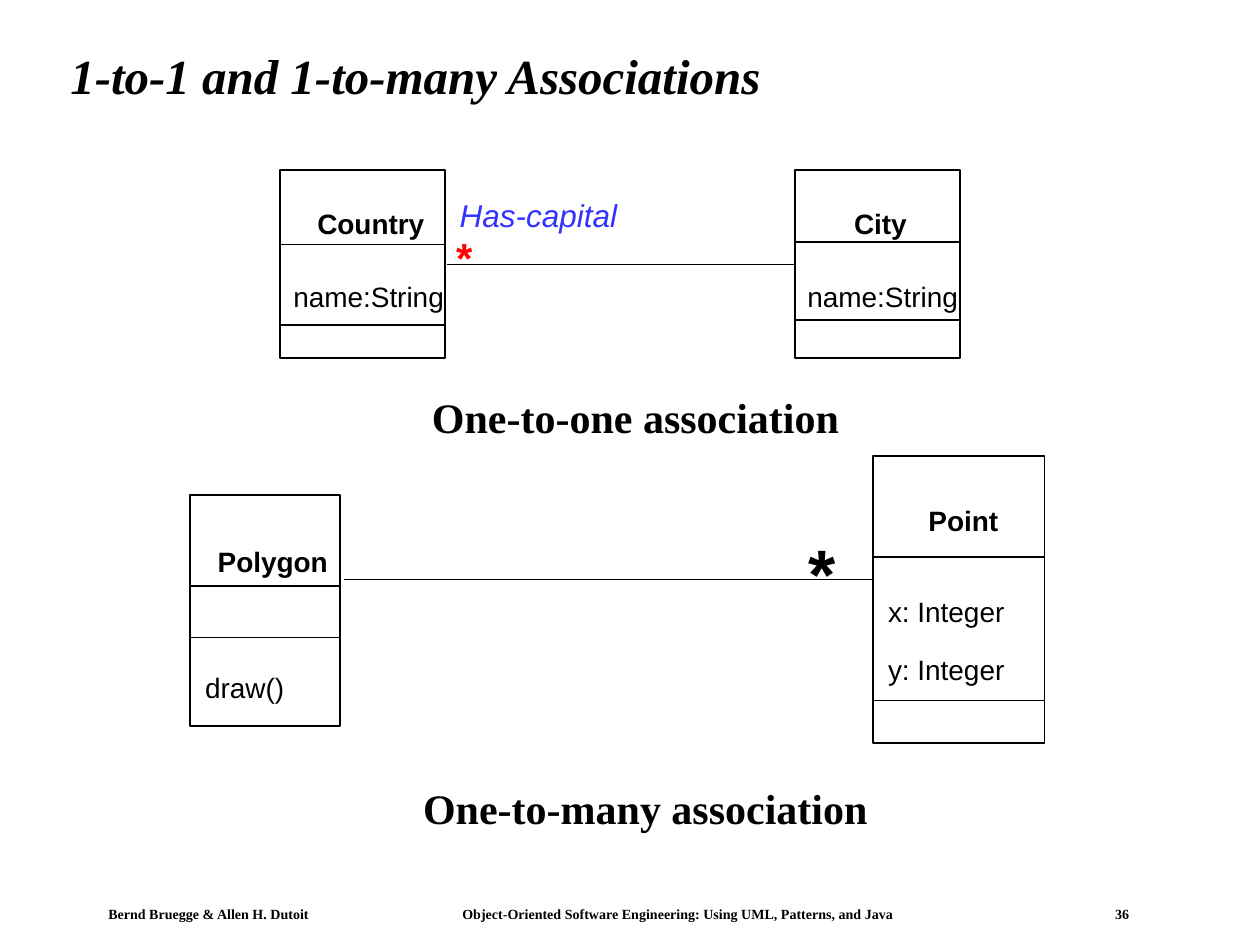
from lxml import etree
from pptx import Presentation
from pptx.dml.color import RGBColor
from pptx.enum.shapes import MSO_CONNECTOR, MSO_SHAPE
from pptx.enum.text import MSO_ANCHOR, MSO_AUTO_SIZE, PP_ALIGN
from pptx.oxml.ns import qn
from pptx.util import Inches, Pt

RECT = MSO_SHAPE.RECTANGLE
LINE = MSO_CONNECTOR.STRAIGHT
TOP, MIDDLE = MSO_ANCHOR.TOP, MSO_ANCHOR.MIDDLE
LEFT, CENTER = PP_ALIGN.LEFT, PP_ALIGN.CENTER
FIXED, GROW = MSO_AUTO_SIZE.NONE, MSO_AUTO_SIZE.SHAPE_TO_FIT_TEXT

COLORS = {"ink": "000000", "blue": "3333FF", "red": "FF0000"}
SERIF, SANS = "Times New Roman", "Arial"
ROW = 0.36

HEAD = {"name": SANS, "size": Pt(16), "bold": True}
BODY = {"name": SANS, "size": Pt(16)}
TITLE = {"name": SERIF, "size": Pt(28), "bold": True, "italic": True}
LABEL = {"name": SERIF, "size": Pt(24), "bold": True}
ROLE = {"name": SANS, "size": Pt(18), "italic": True}
STAR = {"name": SANS, "size": Pt(24), "bold": True}
BIG = {"name": SANS, "size": Pt(40), "bold": True}
FOOT = {"name": SERIF, "size": Pt(8), "bold": True}


def paint(color):
    return RGBColor.from_string(COLORS[color])


def add_text(slide, text, box, style, color="ink", wrap=False,
             anchor=TOP, align=LEFT, pad=(0.1, 0.05)):
    shape = slide.shapes.add_textbox(*map(Inches, box))
    frame = shape.text_frame
    side, edge = map(Inches, pad)
    form = {"word_wrap": wrap, "auto_size": FIXED if wrap else GROW,
            "vertical_anchor": anchor,
            "margin_left": side, "margin_right": side,
            "margin_top": edge, "margin_bottom": edge}
    for key, value in form.items():
        setattr(frame, key, value)
    para = frame.paragraphs[0]
    para.alignment = align
    run = para.add_run()
    run.text = text
    for key, value in style.items():
        setattr(run.font, key, value)
    run.font.color.rgb = paint(color)
    return para


def set_tabs(para, stops):
    props = para._p.get_or_add_pPr()
    tabs = etree.SubElement(props, qn("a:tabLst"))
    for stop in stops:
        etree.SubElement(tabs, qn("a:tab"), pos=str(Inches(stop)), algn="l")


def add_line(slide, x1, y1, x2, y2):
    line = slide.shapes.add_connector(LINE, *map(Inches, (x1, y1, x2, y2)))
    line.line.color.rgb = paint("ink")
    line.line.width = Pt(1)
    etree.SubElement(line._element.spPr, qn("a:effectLst"))


def add_class(slide, box, rules, texts):
    shape = slide.shapes.add_shape(RECT, *map(Inches, box))
    shape.shadow.inherit = False
    shape.fill.background()
    shape.line.color.rgb = paint("ink")
    shape.line.width = Pt(1)
    left, width = box[0], box[2]
    for y in rules:
        add_line(slide, left, y, left + width, y)
    for text, x, y, size, style in texts:
        add_text(slide, text, (x, y, size, ROW), style)


def main():
    deck = Presentation()
    deck.slide_width, deck.slide_height = Inches(10), Inches(7.5)
    slide = deck.slides.add_slide(deck.slide_layouts[6])

    foot = add_text(slide, "Bernd Bruegge & Allen H. Dutoit\t"
                    "Object-Oriented Software Engineering: "
                    "Using UML, Patterns, and Java\t36",
                    (0.78, 7.15, 8.27, 0.21), FOOT, wrap=True,
                    pad=(0.08, 0.04))
    set_tabs(foot, (2.81, 7.99))
    title = add_text(slide, "1-to-1 and 1-to-many Associations",
                     (0.46, 0.24, 8.92, 0.77), TITLE, wrap=True,
                     anchor=MIDDLE)
    title.line_spacing = 0.9

    add_class(slide, (2.22, 1.35, 1.31, 1.49), (1.94, 2.58), [
        ("Country", 2.42, 1.59, 1.05, HEAD),
        ("name:String", 2.23, 2.17, 1.4, BODY)])
    add_class(slide, (6.31, 1.35, 1.31, 1.49), (1.92, 2.54), [
        ("City", 6.68, 1.59, 0.62, HEAD),
        ("name:String", 6.31, 2.17, 1.4, BODY)])
    add_class(slide, (1.51, 3.93, 1.19, 1.83), (4.65, 5.06), [
        ("Polygon", 1.63, 4.27, 1.1, HEAD),
        ("draw()", 1.53, 5.27, 0.83, BODY)])
    add_class(slide, (6.93, 3.62, 1.36, 2.28), (4.42, 5.56), [
        ("Point", 7.27, 3.95, 0.78, HEAD),
        ("x: Integer", 6.95, 4.67, 1.13, BODY),
        ("y: Integer", 6.95, 5.13, 1.13, BODY)])

    add_line(slide, 3.55, 2.1, 6.31, 2.1)
    add_line(slide, 6.93, 4.6, 2.73, 4.6)

    add_text(slide, "Has-capital", (3.55, 1.51, 1.45, 0.4), ROLE,
             "blue", wrap=True)
    add_text(slide, "One-to-one association", (3.33, 3.06, 3.43, 0.5), LABEL)
    add_text(slide, "One-to-many association", (3.26, 6.16, 3.73, 0.5), LABEL)
    add_text(slide, "*", (6.32, 4.15, 0.41, 0.76), BIG)
    add_text(slide, "*", (3.52, 1.79, 0.33, 0.5), STAR, "red",
             anchor=MIDDLE, align=CENTER)

    deck.save("out.pptx")


main()
